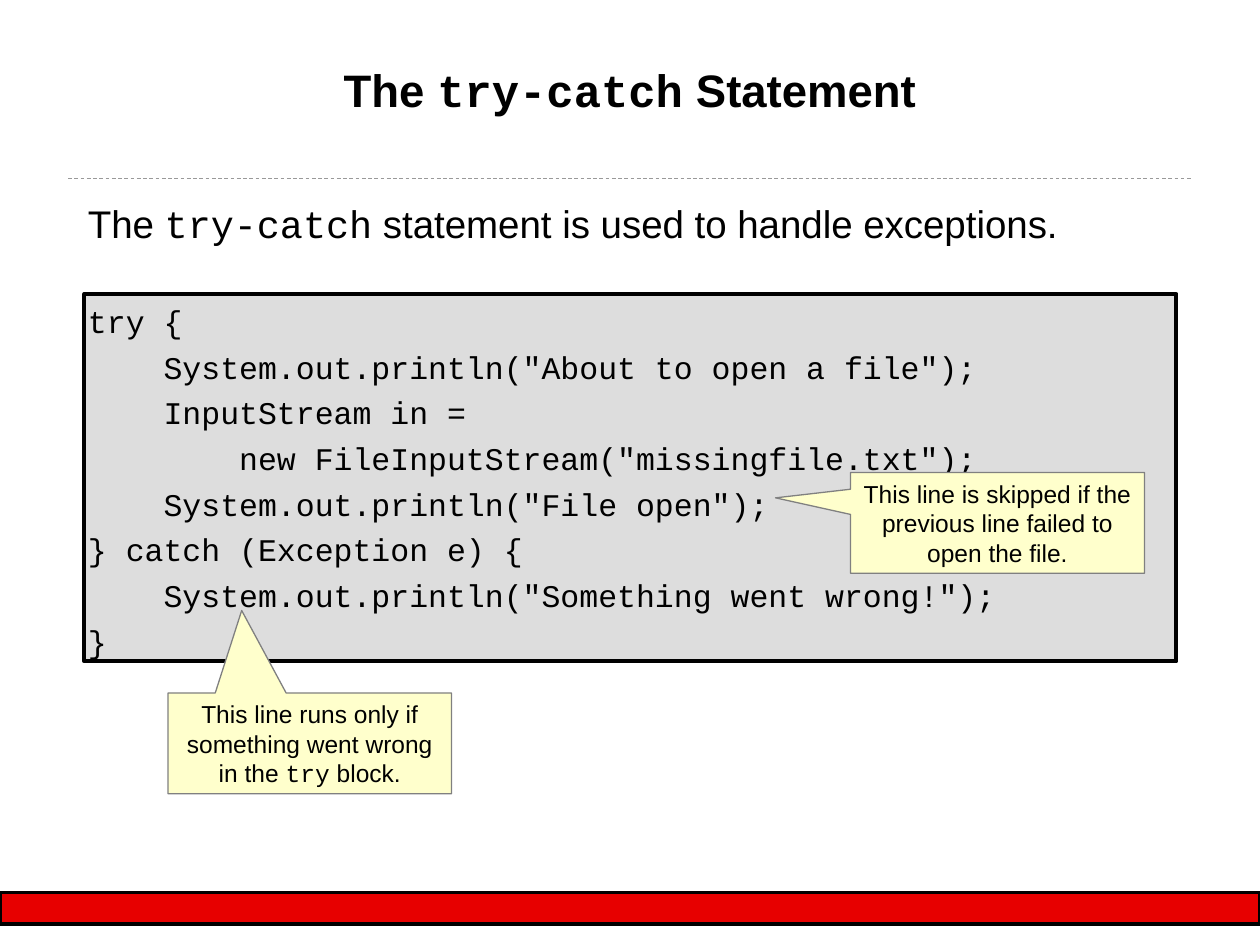
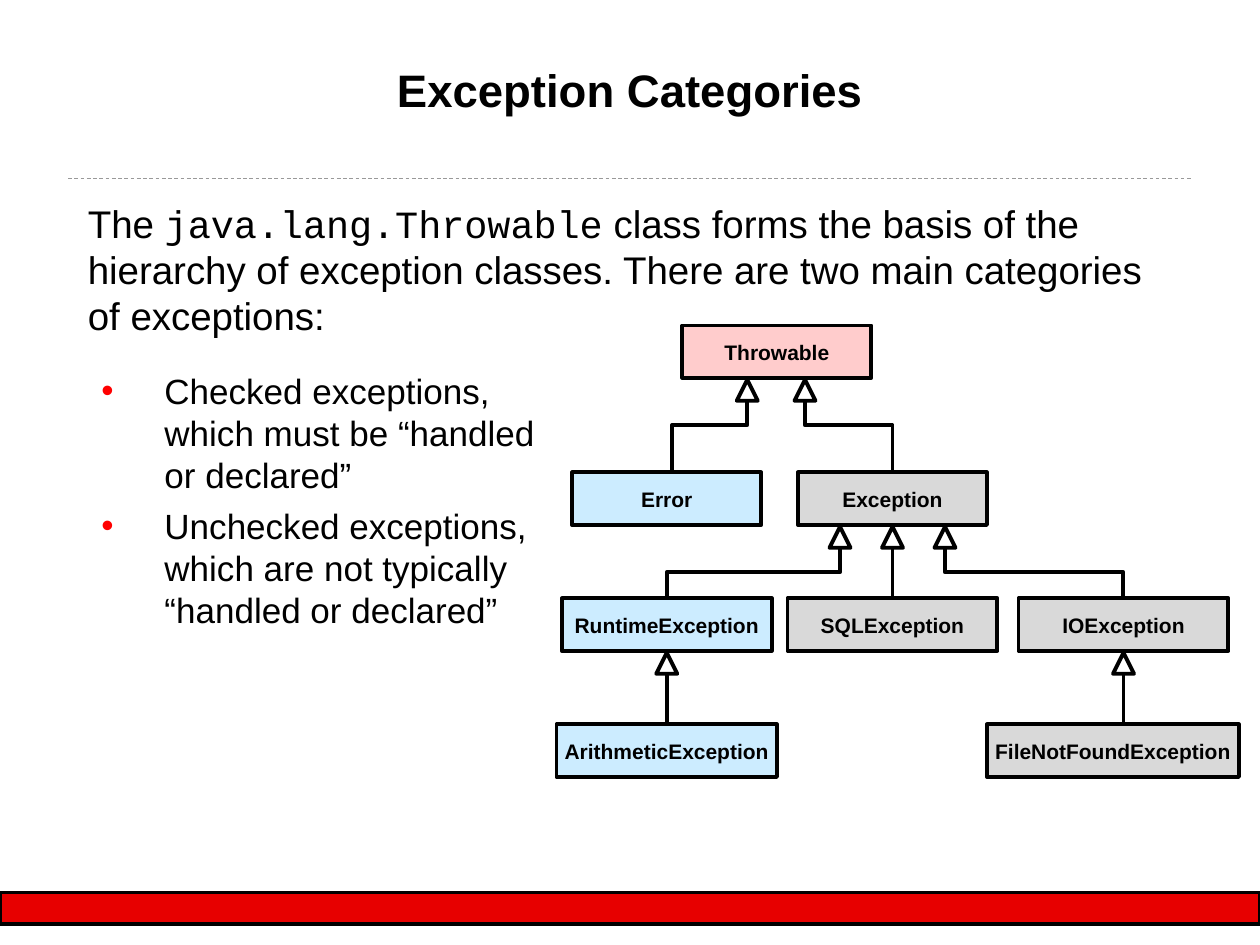
from collections import namedtuple

from lxml import etree
from pptx import Presentation
from pptx.dml.color import RGBColor
from pptx.enum import dml, shapes, text
from pptx.oxml import ns
from pptx.util import Pt

BLACK = RGBColor(0x00, 0x00, 0x00)
WHITE = RGBColor(0xFF, 0xFF, 0xFF)
RULE_GRAY = RGBColor(0x99, 0x99, 0x99)
BAND_RED = RGBColor(0xE7, 0x00, 0x00)
BULLET_RED = RGBColor(0xFF, 0x00, 0x00)
CODE_GRAY = RGBColor(0xDD, 0xDD, 0xDD)
NOTE_YELLOW = RGBColor(0xFF, 0xFF, 0xCC)
NOTE_EDGE = RGBColor(0x80, 0x80, 0x80)
ROOT_PINK = RGBColor(0xFF, 0xCC, 0xCC)
UNCHECKED_BLUE = RGBColor(0xCC, 0xEC, 0xFF)
CHECKED_GRAY = RGBColor(0xD9, 0xD9, 0xD9)

SANS, MONO = "Arial", "Courier New"
SLIDE_WIDTH, SLIDE_HEIGHT = 720, 540
MARGIN, CONTENT_WIDTH = 48.24, 623.5
INTRO_LEFT, INTRO_TOP = 49.5, 113.5
NODE_HEIGHT, ARROW_SIZE = 30, 12

Box = namedtuple("Box", "left top width height")

CODE = [
    "try {",
    '    System.out.println("About to open a file");',
    "    InputStream in =",
    '        new FileInputStream("missingfile.txt");',
    '    System.out.println("File open");',
    "} catch (Exception e) {",
    '    System.out.println("Something went wrong!");',
    "}",
]

CLASSES = {
    "Throwable": (126, 0, 108, ROOT_PINK),
    "Error": (63, 84, 108, UNCHECKED_BLUE),
    "Exception": (192, 84, 108, CHECKED_GRAY),
    "RuntimeException": (63, 156, 120, UNCHECKED_BLUE),
    "SQLException": (192, 156, 120, CHECKED_GRAY),
    "IOException": (324, 156, 120, CHECKED_GRAY),
    "ArithmeticException": (63, 228, 126, UNCHECKED_BLUE),
    "FileNotFoundException": (318, 228, 144, CHECKED_GRAY),
}

INHERITANCE = [
    ("Error", 66, "Throwable", 109, 0),
    ("Exception", 192, "Throwable", 142, 0),
    ("RuntimeException", 63, "Exception", 162, ARROW_SIZE),
    ("SQLException", 192, "Exception", 192, 0),
    ("IOException", 324, "Exception", 222, ARROW_SIZE),
    ("ArithmeticException", 63, "RuntimeException", 63, 0),
    ("FileNotFoundException", 324, "IOException", 324, 0),
]


def write(frame, lines, size, font=SANS, bold=False, align=text.PP_ALIGN.LEFT,
          anchor=text.MSO_ANCHOR.TOP, insets=(0.72, 0.72, 0.72, 0.72),
          gap=0, bullet=False):
    """Fill a text frame; backticks enclose monospaced words."""
    frame.word_wrap = True
    frame.auto_size = text.MSO_AUTO_SIZE.NONE
    frame.vertical_anchor = anchor
    (frame.margin_left, frame.margin_top,
     frame.margin_right, frame.margin_bottom) = map(Pt, insets)
    for index, line in enumerate(lines):
        paragraph = frame.add_paragraph() if index else frame.paragraphs[0]
        set_bullet(paragraph, bullet)
        paragraph.alignment = align
        paragraph.line_spacing = 1.0
        paragraph.space_before = Pt(gap if index else 0)
        for part, words in enumerate(line.split("`")):
            run = paragraph.add_run()
            run.text = words
            run.font.name = MONO if part % 2 else font
            run.font.size = Pt(size)
            run.font.bold = bold
            run.font.color.rgb = BLACK


def set_bullet(paragraph, bullet):
    """Give a paragraph a red hanging bullet, or none."""
    properties = paragraph._p.get_or_add_pPr()
    properties.set("marL", str(Pt(45 if bullet else 0)))
    properties.set("indent", str(Pt(-36 if bullet else 0)))
    if bullet:
        color = etree.SubElement(properties, ns.qn("a:buClr"))
        etree.SubElement(color, ns.qn("a:srgbClr"), val=str(BULLET_RED))
        etree.SubElement(properties, ns.qn("a:buChar"), char="•")
    else:
        etree.SubElement(properties, ns.qn("a:buNone"))


def add_filled(slide, kind, box, fill, edge=BLACK, weight=2.25):
    """Add a flat preset shape with a solid fill and outline."""
    shape = slide.shapes.add_shape(kind, *map(Pt, box))
    shape.shadow.inherit = False
    shape.fill.solid()
    shape.fill.fore_color.rgb = fill
    shape.line.color.rgb = edge
    shape.line.width = Pt(weight)
    return shape


def add_line(slide, kind, start, end, color=BLACK, weight=2.25):
    """Add a connector without a shadow."""
    line = slide.shapes.add_connector(kind, *map(Pt, (*start, *end)))
    line.line.color.rgb = color
    line.line.width = Pt(weight)
    etree.SubElement(line._element.spPr, ns.qn("a:effectLst"))
    return line


def fill_placeholder(placeholder, box, lines, size, **formatting):
    """Move a placeholder to a box and write its text."""
    (placeholder.left, placeholder.top,
     placeholder.width, placeholder.height) = map(Pt, box)
    write(placeholder.text_frame, lines, size, **formatting)


def start_slide(deck, layout, title):
    """Add a slide with the shared rule, red band and title."""
    slide = deck.slides.add_slide(deck.slide_layouts.get_by_name(layout))
    rule = add_line(slide, shapes.MSO_CONNECTOR.STRAIGHT, (39, 102),
                    (SLIDE_WIDTH - 39, 102), RULE_GRAY, 0.5)
    rule.line.dash_style = dml.MSO_LINE.DASH
    add_filled(slide, shapes.MSO_SHAPE.FLOWCHART_PROCESS,
               Box(0, 510, SLIDE_WIDTH, 18), BAND_RED)
    fill_placeholder(slide.shapes.title, Box(MARGIN, 34.6, CONTENT_WIDTH, 69),
                     [title], 26, bold=True, align=text.PP_ALIGN.CENTER)
    return slide


def add_code(slide, box):
    """Add the framed code listing."""
    listing = add_filled(slide, shapes.MSO_SHAPE.RECTANGLE, box, CODE_GRAY)
    write(listing.text_frame, CODE, 18, font=MONO, gap=4.5,
          insets=(2, 4.5, 0, 0))


def add_note(slide, box, words, tip):
    """Add a yellow callout whose tip is a fraction of its size from its centre."""
    note = add_filled(slide, shapes.MSO_SHAPE.RECTANGULAR_CALLOUT, box,
                      NOTE_YELLOW, NOTE_EDGE, 0.75)
    note.adjustments[0], note.adjustments[1] = tip
    write(note.text_frame, [words], 14, align=text.PP_ALIGN.CENTER,
          anchor=text.MSO_ANCHOR.MIDDLE, insets=(7.2, 3.6, 7.2, 3.6))


def add_class(slide, box, name, fill):
    """Add one class of the hierarchy."""
    node = add_filled(slide, shapes.MSO_SHAPE.RECTANGLE, box, fill)
    write(node.text_frame, [name], 12, bold=True, align=text.PP_ALIGN.CENTER,
          anchor=text.MSO_ANCHOR.MIDDLE, insets=(0, 3.6, 0, 3.6))
    return node


def add_elbow(slide, start, end):
    """Add an elbow that leaves downwards, turns sideways and ends downwards."""
    (x1, y1), (x2, y2) = start, end
    middle_x, middle_y = (x1 + x2) / 2, (y1 + y2) / 2
    half_drop, half_shift = (y2 - y1) / 2, (x1 - x2) / 2
    elbow = add_line(slide, shapes.MSO_CONNECTOR.ELBOW,
                     (middle_x - half_drop, middle_y - half_shift),
                     (middle_x + half_drop, middle_y + half_shift))
    elbow._element.spPr.find(ns.qn("a:xfrm")).set("rot", "5400000")


def add_hierarchy(slide, box):
    """Add the class tree with its inheritance arrows."""
    nodes = {
        name: add_class(slide, Box(box.left + center - width / 2, box.top + top,
                                   width, NODE_HEIGHT), name, fill)
        for name, (center, top, width, fill) in CLASSES.items()
    }
    for child, child_x, parent, port_x, lead in INHERITANCE:
        child_center, child_top = CLASSES[child][:2]
        parent_center, parent_top = CLASSES[parent][:2]
        port = box.left + port_x
        bottom = box.top + parent_top + NODE_HEIGHT
        start = port, bottom + lead
        end = box.left + child_x, box.top + child_top
        if child_x == port_x:
            line = add_line(slide, shapes.MSO_CONNECTOR.STRAIGHT, start, end)
            if port_x == parent_center:
                line.begin_connect(nodes[parent], 2)
            if child_x == child_center:
                line.end_connect(nodes[child], 0)
        else:
            add_elbow(slide, start, end)
        add_filled(slide, shapes.MSO_SHAPE.ISOSCELES_TRIANGLE,
                   Box(port - ARROW_SIZE / 2, bottom + 1,
                       ARROW_SIZE, ARROW_SIZE), WHITE)


def build_try_catch(deck):
    """Build the slide on the try-catch statement."""
    slide = start_slide(deck, "Title and Content", "The `try-catch` Statement")
    fill_placeholder(slide.placeholders[1],
                     Box(INTRO_LEFT, INTRO_TOP, CONTENT_WIDTH, 40),
                     ["The `try-catch` statement is used to handle exceptions."], 22)
    add_code(slide, Box(MARGIN, 168, 624, 210))
    add_note(slide, Box(486, 270, 168, 57.6),
             "This line is skipped if the previous line failed to open the file.",
             (-0.755, -0.248))
    add_note(slide, Box(96, 396, 162, 57.6),
             "This line runs only if something went wrong in the `try` block.",
             (-0.24, -1.318))


def build_categories(deck):
    """Build the slide on exception categories."""
    slide = start_slide(deck, "Two Content", "Exception Categories")
    intro, categories = slide.placeholders[1], slide.placeholders[2]
    fill_placeholder(intro, Box(INTRO_LEFT, INTRO_TOP, CONTENT_WIDTH, 90),
                     ["The `java.lang.Throwable` class forms the basis of the "
                      "hierarchy of exception classes. There are two main "
                      "categories of exceptions:"], 22)
    fill_placeholder(categories, Box(MARGIN, 210.5, 270, 151),
                     ["Checked exceptions, which must be “handled or declared”",
                      "Unchecked exceptions, which are not typically "
                      "“handled or declared”"], 20, gap=5, bullet=True)
    add_hierarchy(slide, Box(318, 186, 390, 258))


def main():
    """Build and save the presentation."""
    deck = Presentation()
    deck.slide_width, deck.slide_height = Pt(SLIDE_WIDTH), Pt(SLIDE_HEIGHT)
    build_try_catch(deck)
    build_categories(deck)
    deck.save("out.pptx")


if __name__ == "__main__":
    main()
